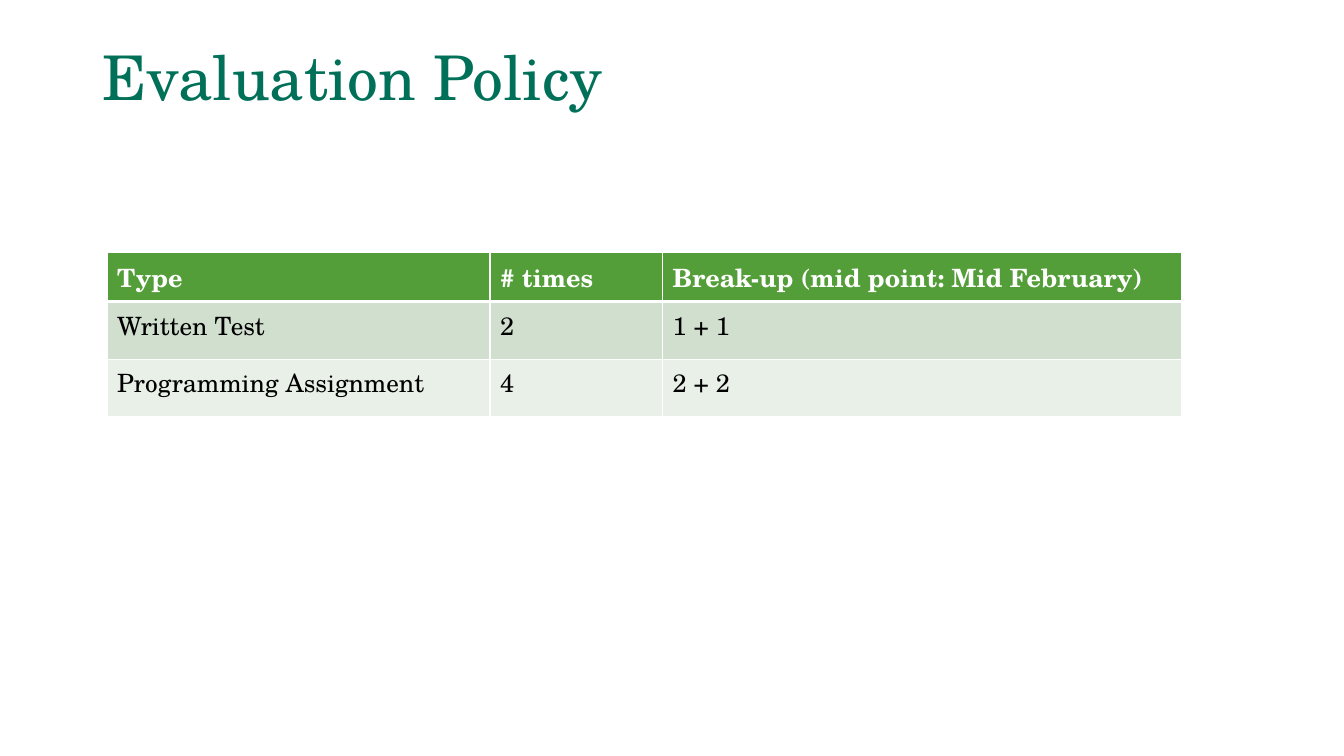
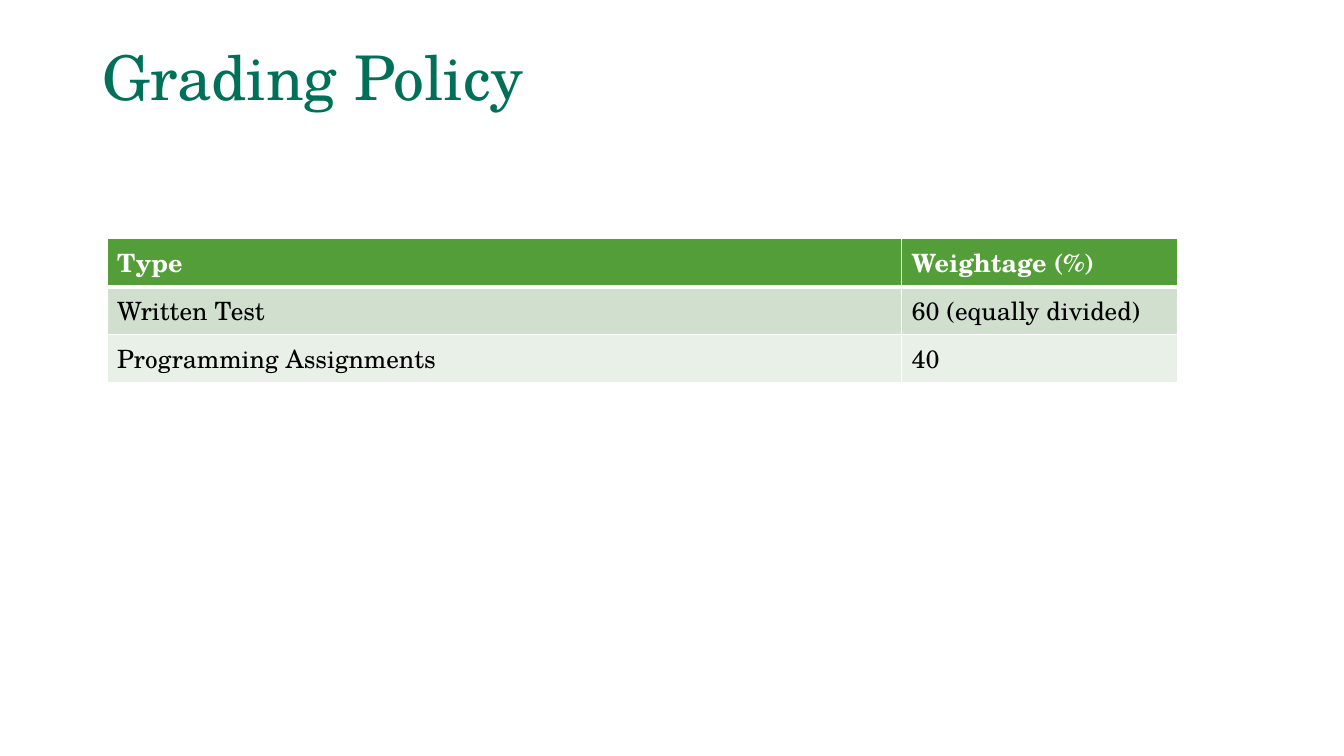
import pptx
import pptx.dml.color
import pptx.enum.text
import pptx.oxml
import pptx.oxml.ns
import pptx.util

Cm = pptx.util.Cm
Pt = pptx.util.Pt

# Content: lengths in centimetres
SLIDES = [
    {
        "title": "Evaluation Policy",
        "top": 6.37,
        "columns": [9.65, 4.35, 13.08],
        "body_height": 1.45,
        "rows": [
            ("Type", "# times", "Break-up (mid point: Mid February)"),
            ("Written Test", "2", "1 + 1"),
            ("Programming Assignment", "4", "2 + 2"),
        ],
    },
    {
        "title": "Grading Policy",
        "top": 6.0,
        "columns": [20.02, 6.96],
        "body_height": 1.2,
        "rows": [
            ("Type", "Weightage (%)"),
            ("Written Test", "60 (equally divided)"),
            ("Programming Assignments", "40"),
        ],
    },
]

# Shared style
FONT = "TeX Gyre Schola"
COLOURS = {
    "title": "017058",
    "header": "549E39",
    "odd": "D1DFCE",
    "even": "E9F0E8",
    "white": "FFFFFF",
    "black": "000000",
}
TABLE_LEFT = 2.7
HEADER_HEIGHT = 1.23
THIN, THICK = 1, 3


def colour(name):
    return pptx.dml.color.RGBColor.from_string(COLOURS[name])


def write(frame, text, size=18, color="black", bold=False, spacing=None):
    para = frame.paragraphs[0]
    para.line_spacing = spacing
    span = para.add_run()
    span.text = text
    span.font.name = FONT
    span.font.size = Pt(size)
    span.font.bold = bold
    span.font.color.rgb = colour(color)


def set_borders(cell, **widths):
    properties = cell._tc.get_or_add_tcPr()
    for side in "LRTB":
        width = Pt(widths.get(side, THIN))
        properties.append(pptx.oxml.parse_xml(
            f'<a:ln{side} {pptx.oxml.ns.nsdecls("a")} w="{width}">'
            f'<a:solidFill><a:srgbClr val="{COLOURS["white"]}"/></a:solidFill>'
            f'</a:ln{side}>'))


def add_title(page, text):
    box = page.shapes.add_textbox(Cm(2.33), Cm(1.02), Cm(29.21), Cm(2.03))
    frame = box.text_frame
    frame.word_wrap = True
    frame.vertical_anchor = pptx.enum.text.MSO_ANCHOR.MIDDLE
    write(frame, text, size=44, color="title", spacing=0.9)


def add_policy_table(page, rows, columns, top, body_height):
    heights = [HEADER_HEIGHT] + [body_height] * (len(rows) - 1)
    table = page.shapes.add_table(
        len(rows), len(columns), Cm(TABLE_LEFT), Cm(top),
        Cm(sum(columns)), Cm(sum(heights))).table
    for column, width in zip(table.columns, columns):
        column.width = Cm(width)
    for index, (texts, height) in enumerate(zip(rows, heights)):
        table.rows[index].height = Cm(height)
        header = index == 0
        fill = "header" if header else "odd" if index % 2 else "even"
        for cell, text in zip(table.rows[index].cells, texts):
            # The thick line is the edge shared by header and first body row
            set_borders(cell, T=THICK if index == 1 else THIN,
                        B=THICK if header else THIN)
            cell.fill.solid()
            cell.fill.fore_color.rgb = colour(fill)
            write(cell.text_frame, text, bold=header,
                  color="white" if header else "black")


def main():
    deck = pptx.Presentation()
    deck.slide_width, deck.slide_height = Cm(33.87), Cm(19.05)
    for content in SLIDES:
        page = deck.slides.add_slide(deck.slide_layouts[6])
        add_title(page, content["title"])
        add_policy_table(page, content["rows"], content["columns"],
                         content["top"], content["body_height"])
    deck.save("out.pptx")


if __name__ == "__main__":
    main()
